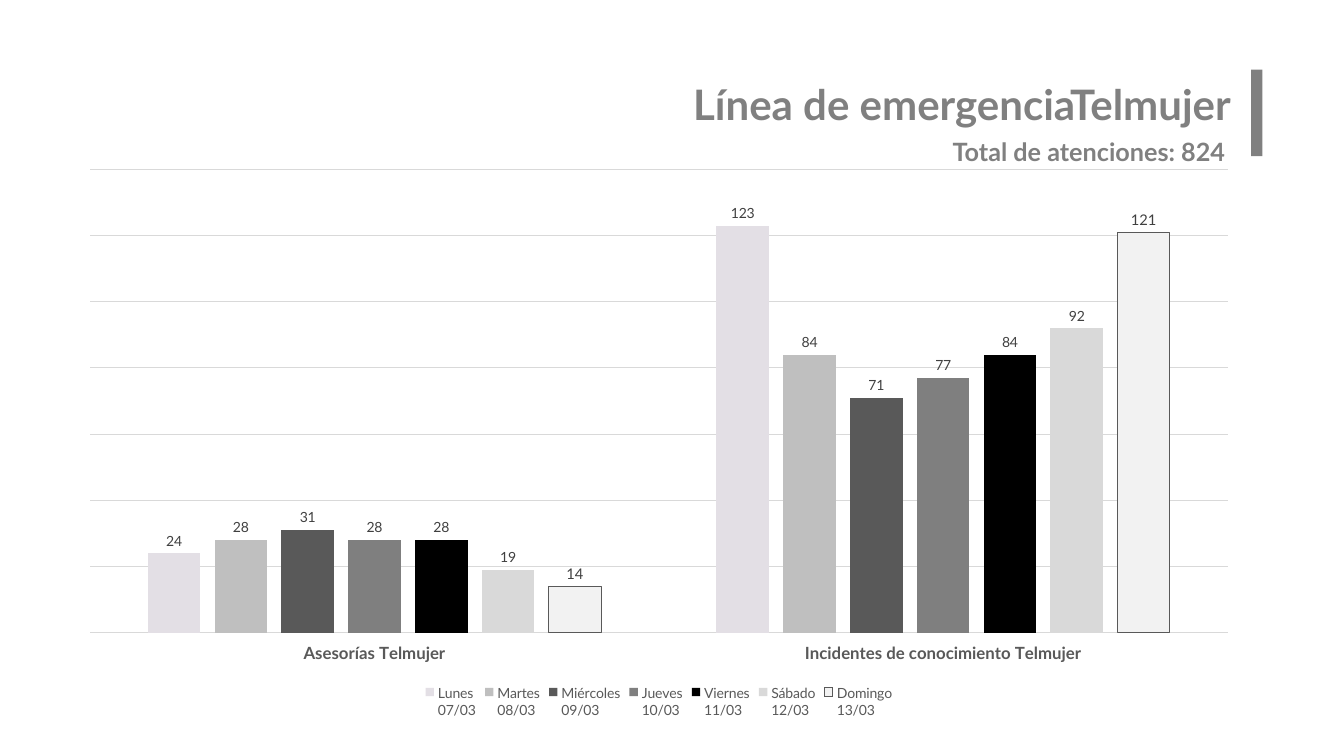
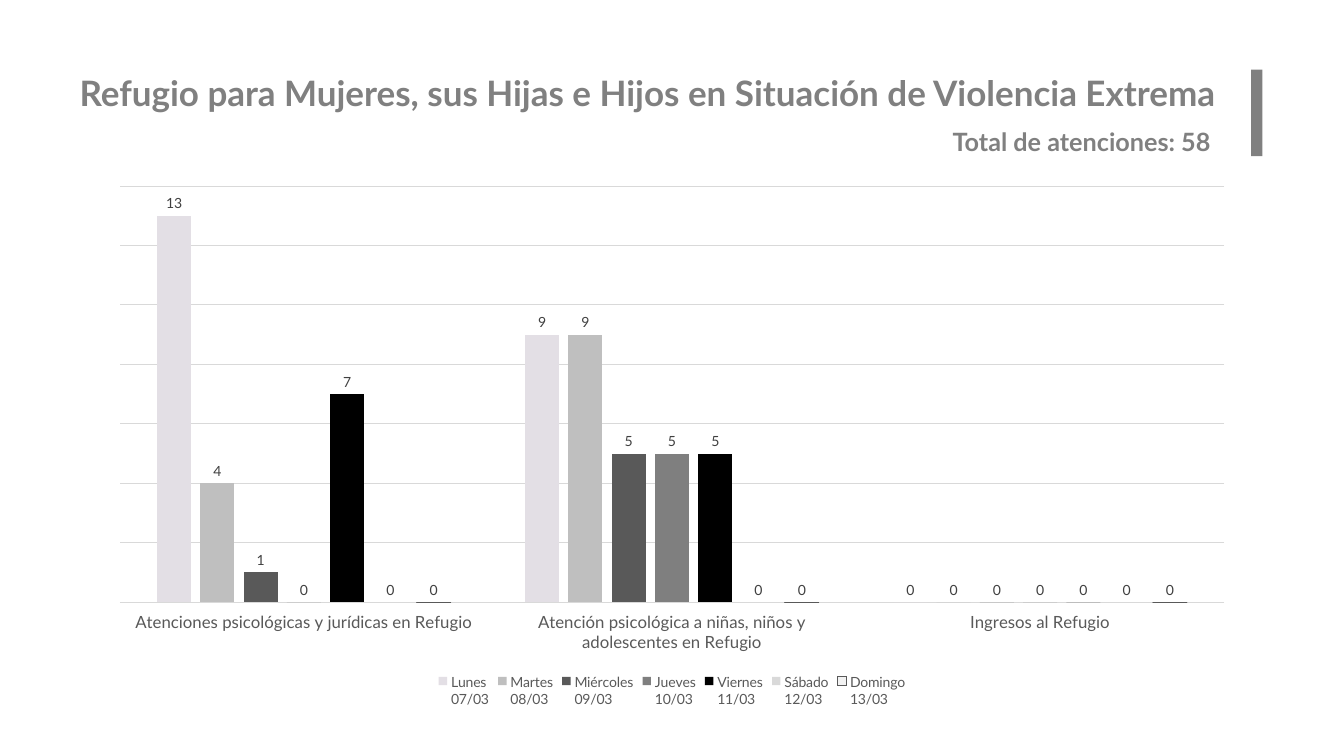
from dataclasses import dataclass

from pptx import Presentation
from pptx.chart.data import CategoryChartData
from pptx.dml.color import RGBColor
from pptx.enum.chart import XL_CHART_TYPE as ChartType
from pptx.enum.chart import XL_LABEL_POSITION as LabelPos
from pptx.enum.chart import XL_LEGEND_POSITION as LegendPos
from pptx.enum.chart import XL_TICK_LABEL_POSITION as TickLabelPos
from pptx.enum.chart import XL_TICK_MARK as TickMark
from pptx.enum.shapes import MSO_SHAPE as Shape
from pptx.enum.text import MSO_ANCHOR as Anchor
from pptx.enum.text import MSO_AUTO_SIZE as AutoSize
from pptx.enum.text import PP_ALIGN as Align
from pptx.util import Inches, Pt


@dataclass(frozen=True)
class Theme:
    font: str = "Lato"
    heading: str = "808080"
    axis_text: str = "595959"
    label_text: str = "404040"
    grid: str = "D9D9D9"
    outline: str = "595959"
    total_size: float = 18
    category_size: float = 12
    chart_size: float = 10
    line_width: float = 0.75


@dataclass(frozen=True)
class Day:
    name: str
    color: str
    outlined: bool = False


@dataclass(frozen=True)
class Box:
    left: float
    top: float
    width: float
    height: float

    def emu(self) -> tuple:
        return tuple(Inches(v) for v in (self.left, self.top, self.width, self.height))


@dataclass(frozen=True)
class Title:
    text: str
    box: Box
    size: float
    align: Align
    inset_x: float
    inset_y: float


@dataclass(frozen=True)
class Report:
    title: Title
    total: int
    total_top: float
    chart_box: Box
    counts: dict  # category -> one value for each day
    axis_max: float
    axis_step: float
    bold_categories: bool = False
    last_label_size: float = 10


THEME = Theme()
BAND = Box(12.41, 0.69, 0.11, 0.86)

WEEK = [
    Day("Lunes\n07/03", "E3DFE5"),
    Day("Martes\n08/03", "BFBFBF"),
    Day("Miércoles\n09/03", "595959"),
    Day("Jueves\n10/03", "7F7F7F"),
    Day("Viernes\n11/03", "000000"),
    Day("Sábado\n12/03", "D9D9D9"),
    Day("Domingo\n13/03", "F2F2F2", outlined=True),
]

REPORTS = [
    Report(
        title=Title("Línea de emergenciaTelmujer", Box(2.14, 0.68, 10.27, 0.87),
                    30, Align.RIGHT, 0.2, 0.1),
        total=824,
        total_top=1.3,
        chart_box=Box(0.66, 1.57, 11.75, 5.6),
        counts={
            "Asesorías Telmujer": (24, 28, 31, 28, 28, 19, 14),
            "Incidentes de conocimiento Telmujer": (123, 84, 71, 77, 84, 92, 121),
        },
        axis_max=140,
        axis_step=20,
        bold_categories=True,
        last_label_size=10.5,
    ),
    Report(
        title=Title("Refugio para Mujeres, sus Hijas e Hijos en Situación de Violencia Extrema",
                    Box(0.69, 0.66, 11.72, 0.52), 25, Align.LEFT, 0.1, 0.05),
        total=58,
        total_top=1.2,
        chart_box=Box(0.96, 1.74, 11.41, 5.32),
        counts={
            "Atenciones psicológicas y jurídicas en Refugio": (13, 4, 1, 0, 7, 0, 0),
            "Atención psicológica a niñas, niños y adolescentes en Refugio":
                (9, 9, 5, 5, 5, 0, 0),
            "Ingresos al Refugio": (0,) * 7,
        },
        axis_max=14,
        axis_step=2,
    ),
]


def rgb(color: str) -> RGBColor:
    return RGBColor.from_string(color)


def style_font(font, size: float, color: str, bold: bool = False) -> None:
    font.name = THEME.font
    font.size = Pt(size)
    font.bold = bold
    font.color.rgb = rgb(color)


def style_line(line, color: str) -> None:
    line.color.rgb = rgb(color)
    line.width = Pt(THEME.line_width)


def write_heading(sp, text: str, size: float, align: Align = Align.LEFT,
                  inset_x: float = 0.1, inset_y: float = 0.05) -> None:
    tf = sp.text_frame
    tf.word_wrap = True
    tf.auto_size = AutoSize.NONE
    tf.vertical_anchor = Anchor.TOP
    tf.margin_left = tf.margin_right = Inches(inset_x)
    tf.margin_top = tf.margin_bottom = Inches(inset_y)
    p = tf.paragraphs[0]
    p.text = text
    p.alignment = align
    p.space_before = Pt(0)
    p.line_spacing = 1
    style_font(p.font, size, THEME.heading, bold=True)


def add_title(s, title: Title) -> None:
    sp = s.shapes.title
    sp.left, sp.top, sp.width, sp.height = title.box.emu()
    write_heading(sp, title.text, title.size, title.align, title.inset_x, title.inset_y)


def add_total(s, total: int, top: float) -> None:
    sp = s.shapes.add_textbox(*Box(9.35, top, 3.06, 0.4).emu())
    write_heading(sp, f"Total de atenciones: {total}", THEME.total_size)


def add_band(s) -> None:
    sp = s.shapes.add_shape(Shape.RECTANGLE, *BAND.emu())
    sp.shadow.inherit = False
    sp.fill.solid()
    sp.fill.fore_color.rgb = rgb(THEME.heading)
    sp.line.fill.background()


def style_series(series, day: Day, label_size: float) -> None:
    series.smooth = False
    series.invert_if_negative = False
    series.format.fill.solid()
    series.format.fill.fore_color.rgb = rgb(day.color)
    if day.outlined:
        style_line(series.format.line, THEME.outline)
    else:
        series.format.line.fill.background()
    labels = series.data_labels
    labels.show_value = True
    labels.position = LabelPos.OUTSIDE_END
    style_font(labels.font, label_size, THEME.label_text)


def style_axes(chart, report: Report) -> None:
    cat = chart.category_axis
    cat.major_tick_mark = cat.minor_tick_mark = TickMark.NONE
    cat.tick_label_position = TickLabelPos.LOW
    style_font(cat.tick_labels.font, THEME.category_size, THEME.axis_text,
               report.bold_categories)
    style_line(cat.format.line, THEME.grid)

    val = chart.value_axis
    val.visible = False
    val.minimum_scale = 0
    val.maximum_scale = report.axis_max
    val.major_unit = report.axis_step
    val.has_major_gridlines = True
    style_line(val.major_gridlines.format.line, THEME.grid)


def add_week_chart(s, report: Report) -> None:
    """Add clustered columns with one series for each day."""
    data = CategoryChartData()
    data.categories = list(report.counts)
    for day, values in zip(WEEK, zip(*report.counts.values())):
        data.add_series(day.name, values)
    frame = s.shapes.add_chart(ChartType.COLUMN_CLUSTERED, *report.chart_box.emu(), data)
    chart = frame.chart
    chart.has_title = False
    style_font(chart.font, THEME.chart_size, THEME.axis_text)

    chart.has_legend = True
    chart.legend.position = LegendPos.BOTTOM
    chart.legend.include_in_layout = False
    style_font(chart.legend.font, THEME.chart_size, THEME.axis_text)

    style_axes(chart, report)
    plot = chart.plots[0]
    plot.vary_by_categories = False
    plot.gap_width = 219
    plot.overlap = -27
    for series, day in zip(plot.series, WEEK):
        size = report.last_label_size if day is WEEK[-1] else THEME.chart_size
        style_series(series, day, size)


def add_report(prs, report: Report) -> None:
    s = prs.slides.add_slide(prs.slide_layouts.get_by_name("Title Only"))
    add_title(s, report.title)
    add_band(s)
    add_total(s, report.total, report.total_top)
    add_week_chart(s, report)


def main() -> None:
    prs = Presentation()
    prs.slide_width = Inches(13.33)
    prs.slide_height = Inches(7.5)
    for report in REPORTS:
        add_report(prs, report)
    prs.save("out.pptx")


if __name__ == "__main__":
    main()
